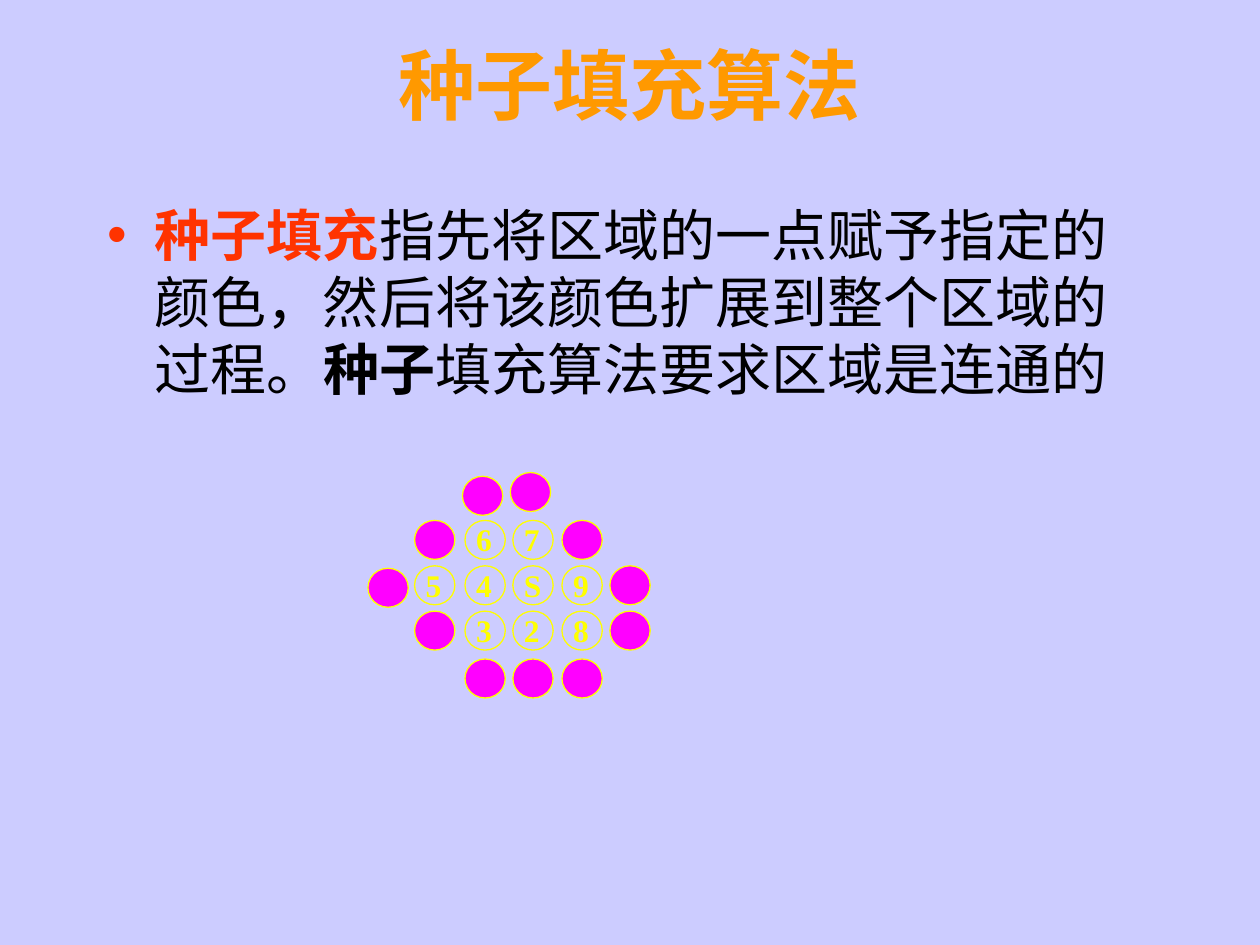
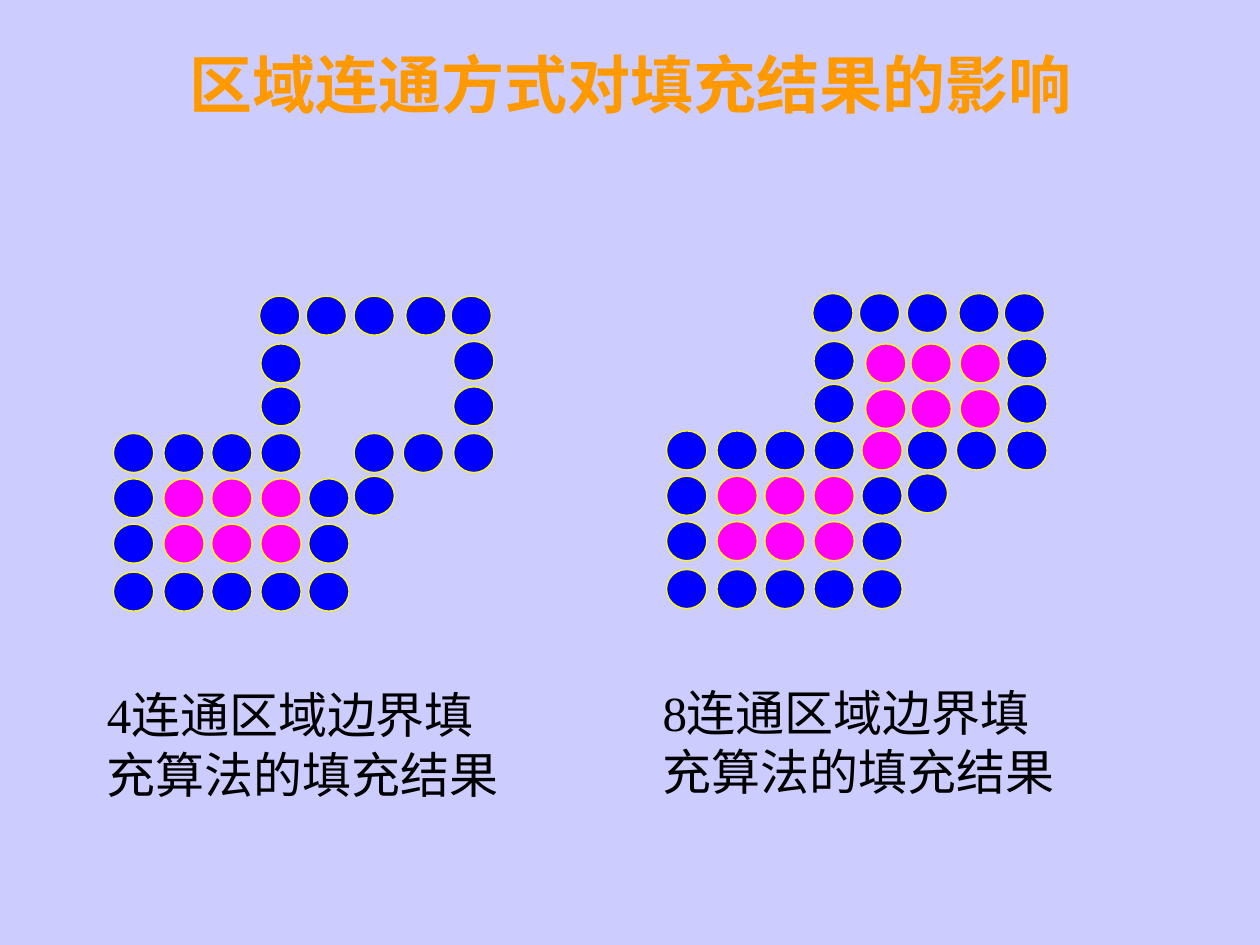
from lxml.etree import SubElement
from pptx import Presentation
from pptx.dml.color import RGBColor
from pptx.enum.shapes import MSO_SHAPE as Shape
from pptx.enum.text import MSO_ANCHOR as Anchor, MSO_AUTO_SIZE as AutoSize, PP_ALIGN as Align
from pptx.oxml.ns import qn
from pptx.util import Inches, Pt

LAVENDER, ORANGE, RED, BLACK = "CCCCFF", "FF9900", "FF3300", "000000"
MAGENTA, BLUE, YELLOW = "FF00FF", "0000FF", "FFFF00"
LATIN, CHINESE = "Times New Roman", "Noto Sans CJK SC"
TITLE_AND_CONTENT, TITLE_ONLY = 1, 5
DOT_FILLS = {"P": MAGENTA, "B": BLUE}


def color(hex_string):
    return RGBColor.from_string(hex_string)


class Deck:
    def __init__(self):
        self.prs = Presentation()
        self.prs.slide_width, self.prs.slide_height = Inches(10), Inches(7.5)
        self.slide = None

    def new_slide(self, title, size, layout=TITLE_ONLY):
        self.slide = self.prs.slides.add_slide(self.prs.slide_layouts[layout])
        background = self.slide.background.fill
        background.solid()
        background.fore_color.rgb = color(LAVENDER)
        heading = self.slide.shapes.title
        self.place(heading, 0.75, 0.25, 8.5, 0.83)
        frame = heading.text_frame
        frame.text = title
        frame.vertical_anchor = Anchor.MIDDLE
        frame.auto_size = AutoSize.NONE
        frame.paragraphs[0].alignment = Align.CENTER
        self.style(frame.paragraphs[0].runs[0], size, ORANGE, bold=True)

    @staticmethod
    def place(shape, left, top, width, height):
        shape.left, shape.top = Inches(left), Inches(top)
        shape.width, shape.height = Inches(width), Inches(height)

    @staticmethod
    def style(run, size, hex_color, bold=False, latin=LATIN):
        font = run.font
        font.size, font.bold, font.name = Pt(size), bold, latin
        font.color.rgb = color(hex_color)
        SubElement(run._r.get_or_add_rPr(), qn("a:ea"), typeface=CHINESE)

    @staticmethod
    def lead(frame, points):
        """Set a fixed line pitch, with the top inset that keeps the first line in place."""
        frame.margin_top = Inches(0.09)
        frame.paragraphs[0].line_spacing = Pt(points)

    def bullet(self, parts):
        """Fill the body with one bulleted paragraph of (text, colour, bold) parts."""
        body = self.slide.placeholders[1]
        self.place(body, 0.75, 1.5, 8.5, 5.42)
        frame = body.text_frame
        frame.auto_size = AutoSize.NONE
        paragraph = frame.paragraphs[0]
        props = paragraph._p.get_or_add_pPr()
        props.set("marL", str(Inches(0.38)))
        props.set("indent", str(-Inches(0.38)))
        SubElement(SubElement(props, qn("a:buClr")), qn("a:srgbClr"), val=RED)
        SubElement(props, qn("a:buChar"), char="•")
        paragraph.space_before = Pt(0)
        self.lead(frame, 38.4)
        for text, hex_color, bold in parts:
            run = paragraph.add_run()
            run.text = text
            self.style(run, 32, hex_color, bold, latin=CHINESE)

    def text(self, shapes, text, left, top, width, height, size, hex_color, bold=False):
        box = shapes.add_textbox(Inches(left), Inches(top), Inches(width), Inches(height))
        frame = box.text_frame
        frame.word_wrap = True
        frame.auto_size = AutoSize.SHAPE_TO_FIT_TEXT
        frame.text = text
        self.style(frame.paragraphs[0].runs[0], size, hex_color, bold)
        return frame

    def caption(self, text, left, top):
        frame = self.text(self.slide.shapes, text, left, top, 3.39, 1.04, 28, BLACK)
        self.lead(frame, 34)

    def dot(self, shapes, left, top, fill):
        dot = shapes.add_shape(Shape.OVAL, Inches(left), Inches(top), Inches(0.32), Inches(0.31))
        dot.shadow.inherit = False
        if fill:
            dot.fill.solid()
            dot.fill.fore_color.rgb = color(fill)
        else:
            dot.fill.background()
        dot.line.color.rgb = color(YELLOW)
        dot.line.width = Pt(0.75)

    def pixels(self, pattern, columns, rows, nudges, shift=(0, 0)):
        """Draw a pixel map: P and B are filled, a dot is empty, others are labels."""
        shapes = self.slide.shapes.add_group_shape().shapes
        for row, line in enumerate(pattern):
            for column, mark in enumerate(line):
                if mark == ".":
                    continue
                dx, dy = nudges.get((row, column), (0, 0))
                left = columns[column] + shift[0] + dx
                top = rows[row] + shift[1] + dy
                self.dot(shapes, left, top, DOT_FILLS.get(mark))
                if mark not in DOT_FILLS:
                    self.text(shapes, mark, left - 0.01, top - 0.05, 0.55, 0.4, 18, YELLOW, True)


def seed_fill(deck):
    deck.new_slide("种子填充算法", 44, TITLE_AND_CONTENT)
    deck.bullet([
        ("种子填充", RED, True),
        ("指先将区域的一点赋予指定的颜色，然后将该颜色扩展到整个区域的过程。", BLACK, False),
        ("种子", BLACK, True),
        ("填充算法要求区域是连通的", BLACK, False),
    ])
    # Fill order, starting from seed S
    deck.pixels(
        ["..PP..",
         ".P67P.",
         "P54S9P",
         ".P328P",
         "..PPP."],
        columns=[2.92, 3.29, 3.69, 4.07, 4.46, 4.84],
        rows=[3.78, 4.13, 4.49, 4.85, 5.23],
        nudges={(0, 2): (-0.02, 0), (0, 3): (-0.02, -0.03), (2, 0): (0, 0.02)},
    )


def connectivity(deck):
    deck.new_slide("区域连通方式对填充结果的影响", 36)
    columns = [0.9, 1.3, 1.68, 2.07, 2.45, 2.81, 3.2, 3.6]
    rows = [2.35, 2.71, 3.07, 3.44, 3.8, 4.16, 4.54]
    outline_nudges = {
        (0, 3): (-0.01, 0), (0, 4): (-0.02, 0), (0, 6): (0.02, 0), (0, 7): (-0.02, 0),
        (1, 3): (0, 0.02), (4, 5): (0, -0.02),
    }
    upper_fill_nudges = {(row, column): (0.03, 0.04) for row in (1, 2) for column in (4, 5, 6)}
    lower_region = ["BPPPBB..", "BPPPB...", "BBBBB..."]

    # 4-connected: the fill stays in the lower region
    deck.pixels(["...BBBBB", "...B...B", "...B...B", "BBBB.BBB"] + lower_region,
                columns, rows, outline_nudges)
    deck.caption("4连通区域边界填充算法的填充结果", 0.75, 5.34)

    # 8-connected: the fill passes through the diagonal gap
    deck.pixels(["...BBBBB", "...BPPPB", "...BPPPB", "BBBBPBBB"] + lower_region,
                columns, rows, outline_nudges | upper_fill_nudges, shift=(4.39, -0.02))
    deck.caption("8连通区域边界填充算法的填充结果", 5.16, 5.32)


def main():
    deck = Deck()
    seed_fill(deck)
    connectivity(deck)
    deck.prs.save("out.pptx")


if __name__ == "__main__":
    main()
